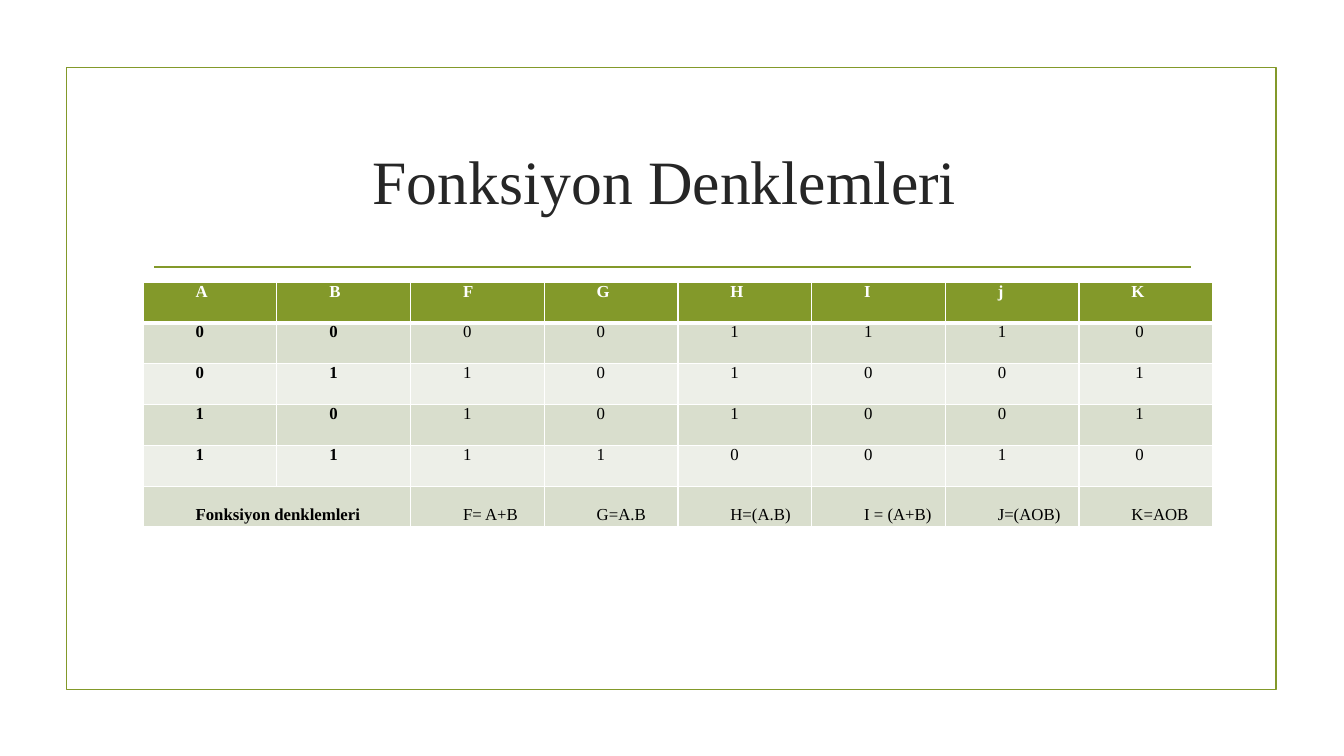
from dataclasses import dataclass

from lxml import etree
from pptx import Presentation
from pptx.dml.color import RGBColor
from pptx.enum.shapes import MSO_CONNECTOR, MSO_SHAPE
from pptx.enum.text import MSO_ANCHOR, PP_ALIGN
from pptx.oxml.ns import qn
from pptx.util import Inches, Pt

RECTANGLE = MSO_SHAPE.RECTANGLE
STRAIGHT = MSO_CONNECTOR.STRAIGHT
TOP = MSO_ANCHOR.TOP
MIDDLE = MSO_ANCHOR.MIDDLE
BOTTOM = MSO_ANCHOR.BOTTOM
CENTER = PP_ALIGN.CENTER
TITLE_ONLY = 5


@dataclass(frozen=True)
class Theme:
    font: str = "Times New Roman"
    green: str = "83992A"
    title: str = "262626"
    text: str = "000000"
    white: str = "FFFFFF"
    bands: tuple = ("D9DECD", "EDEFE8")
    title_size: float = 44
    cell_size: float = 12
    rule_width: float = 1.25
    border_width: float = 1
    header_border_width: float = 3


THEME = Theme()
HEADERS = ["A", "B", "F", "G", "H", "I", "j", "K"]
TRUTH_ROWS = ["00001110", "01101001", "10101001", "11110010"]
EQUATIONS = ["Fonksiyon denklemleri", "", "F= A+B", "G=A.B", "H=(A.B)",
             "I = (A+B)", "J=(AOB)", "K=AOB"]
INPUT_COLUMNS = 2
CELL_INDENT = 0.49
LAST_COLUMN_SHIFT = 0.04


def color(value):
    return RGBColor.from_string(value)


def set_font(paragraph, size, value, bold=False):
    font = paragraph.font
    font.name = THEME.font
    font.size = Pt(size)
    font.bold = bold
    font.color.rgb = color(value)


def set_line(line):
    line.color.rgb = color(THEME.green)
    line.width = Pt(THEME.rule_width)


def add_frame(page, left, top, width, height):
    frame = page.shapes.add_shape(RECTANGLE, Inches(left), Inches(top),
                                  Inches(width), Inches(height))
    frame.shadow.inherit = False
    frame.fill.background()
    set_line(frame.line)


def add_rule(page, left, top, width):
    rule = page.shapes.add_connector(STRAIGHT, Inches(left), Inches(top),
                                     Inches(left + width), Inches(top))
    set_line(rule.line)
    etree.SubElement(rule._element.spPr, qn("a:effectLst"))


def place_title(page, left, top, width, height):
    title = page.shapes.title
    title.left, title.top = Inches(left), Inches(top)
    title.width, title.height = Inches(width), Inches(height)
    frame = title.text_frame
    frame.text = "Fonksiyon Denklemleri "
    frame.word_wrap = True
    frame.vertical_anchor = MIDDLE
    paragraph = frame.paragraphs[0]
    paragraph.alignment = CENTER
    set_font(paragraph, THEME.title_size, THEME.title)


def set_borders(cell, row):
    properties = cell._tc.get_or_add_tcPr()
    heavy_side = {0: "lnB", 1: "lnT"}.get(row)
    for side in ("lnL", "lnR", "lnT", "lnB"):
        width = THEME.header_border_width if side == heavy_side else THEME.border_width
        border = etree.SubElement(properties, qn(f"a:{side}"), w=str(Pt(width)))
        fill = etree.SubElement(border, qn("a:solidFill"))
        etree.SubElement(fill, qn("a:srgbClr"), val=THEME.white)


def fill_cell(cell, text, row, column):
    is_header = row == 0
    is_equation = row == len(TRUTH_ROWS) + 1
    set_borders(cell, row)
    cell.fill.solid()
    cell.fill.fore_color.rgb = color(THEME.green if is_header else THEME.bands[(row - 1) % 2])
    cell.margin_left = cell.margin_right = Inches(0.03)
    cell.margin_top = 0
    cell.margin_bottom = Inches(0.03 if is_equation else 0)
    cell.vertical_anchor = BOTTOM if is_equation else TOP
    cell.text = text
    paragraph = cell.text_frame.paragraphs[0]
    is_shifted = column == len(HEADERS) - 1 and not (is_header or is_equation)
    indent = CELL_INDENT + (LAST_COLUMN_SHIFT if is_shifted else 0)
    paragraph._p.get_or_add_pPr().set("indent", str(Inches(indent)))
    set_font(paragraph, THEME.cell_size, THEME.white if is_header else THEME.text,
             is_header or column < INPUT_COLUMNS)


def add_truth_table(page, left, top, width, height):
    rows = [HEADERS, *TRUTH_ROWS, EQUATIONS]
    table = page.shapes.add_table(len(rows), len(HEADERS), Inches(left), Inches(top),
                                  Inches(width), Inches(height)).table
    for column in table.columns:
        column.width = Inches(width / len(HEADERS))
    for row, values in enumerate(rows):
        table.rows[row].height = Inches(height / len(rows))
        for column, text in enumerate(values):
            fill_cell(table.cell(row, column), text, row, column)
    last = len(rows) - 1
    table.cell(last, 0).merge(table.cell(last, INPUT_COLUMNS - 1))


def main():
    deck = Presentation()
    deck.slide_width, deck.slide_height = Inches(13.33), Inches(7.5)
    page = deck.slides.add_slide(deck.slide_layouts[TITLE_ONLY])
    add_frame(page, 0.66, 0.67, 12, 6.17)
    add_rule(page, 1.53, 2.65, 10.28)
    place_title(page, 1.42, 1.07, 10.5, 1.43)
    add_truth_table(page, 1.42, 2.8, 10.61, 2.43)
    deck.save("out.pptx")


if __name__ == "__main__":
    main()
